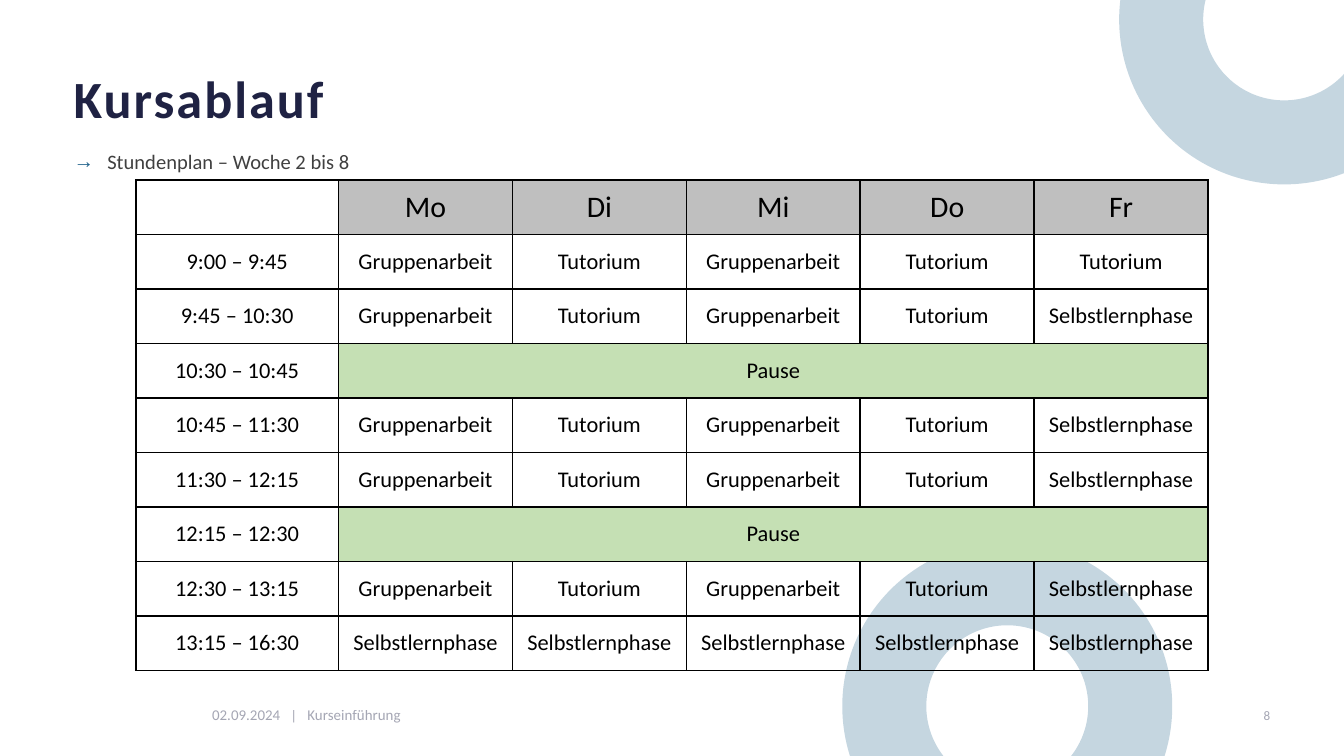
from dataclasses import dataclass

from lxml import etree
from pptx import Presentation
from pptx.dml.color import RGBColor
from pptx.enum.shapes import MSO_SHAPE
from pptx.enum.text import MSO_ANCHOR, PP_ALIGN
from pptx.oxml.ns import qn
from pptx.util import Inches, Pt

CIRCLE = MSO_SHAPE.FLOWCHART_CONNECTOR
LEFT, CENTER, RIGHT = PP_ALIGN.LEFT, PP_ALIGN.CENTER, PP_ALIGN.RIGHT
TOP, MIDDLE = MSO_ANCHOR.TOP, MSO_ANCHOR.MIDDLE
WIDTH = Inches(10)
HEIGHT = WIDTH * 9 // 16


@dataclass(frozen=True)
class Theme:
    font: str = "Calibri"
    bullet_font: str = "Arial"
    title: str = "1F2243"
    body: str = "404040"
    footer: str = "1D2143"
    accent: str = "20628B"
    paper: str = "FFFFFF"
    ink: str = "000000"
    header: str = "BFBFBF"
    pause: str = "C5E0B4"
    title_size: float = 28
    header_size: float = 16
    cell_size: float = 12
    body_size: float = 11
    footer_size: float = 8
    number_size: float = 7
    ring_width: float = 45
    border_width: float = 1


def grid(*values):
    """Convert hundredths of the slide width to lengths."""
    return [int(WIDTH * v / 100) for v in values]


def set_opacity(parent, percent):
    color = parent.find(".//" + qn("a:srgbClr"))
    etree.SubElement(color, qn("a:alpha"), val=str(percent * 1000))


class SlideBuilder:
    def __init__(self, slide, theme):
        self.slide = slide
        self.theme = theme

    def style(self, p, size, color, align=LEFT, bold=False):
        p.alignment = align
        p.font.name = self.theme.font
        p.font.size = Pt(size)
        p.font.bold = bold
        p.font.color.rgb = RGBColor.from_string(color)

    def text(self, box, text, size, color, align=LEFT, anchor=TOP,
             bold=False, line_spacing=1.0, opacity=100, tracking=0):
        tf = self.slide.shapes.add_textbox(*grid(*box)).text_frame
        tf.word_wrap = True
        tf.vertical_anchor = anchor
        p = tf.paragraphs[0]
        p.text = text
        p.line_spacing = line_spacing
        self.style(p, size, color, align, bold)
        font = p._p.pPr.find(qn("a:defRPr"))
        if opacity < 100:
            set_opacity(font, opacity)
        if tracking:
            font.set("spc", str(round(tracking * 100)))
        return p

    def bullet(self, p, char, indent):
        pPr = p._p.pPr
        step = grid(indent)[0]
        pPr.set("marL", str(step))
        pPr.set("indent", str(-step))
        color = etree.Element(qn("a:buClr"))
        etree.SubElement(color, qn("a:srgbClr"), val=self.theme.accent)
        face = etree.Element(qn("a:buFont"), typeface=self.theme.bullet_font)
        mark = etree.Element(qn("a:buChar"), char=char)
        font = pPr.find(qn("a:defRPr"))
        for element in (color, face, mark):
            font.addprevious(element)

    def ring(self, x, y, size):
        sp = self.slide.shapes.add_shape(CIRCLE, *grid(x, y, size, size))
        sp.shadow.inherit = False
        sp.fill.solid()
        sp.fill.fore_color.rgb = RGBColor.from_string(self.theme.paper)
        sp.line.width = Pt(self.theme.ring_width)
        sp.line.color.rgb = RGBColor.from_string(self.theme.accent)
        spPr = sp._element.spPr
        set_opacity(spPr.find(qn("a:solidFill")), 75)
        set_opacity(spPr.find(qn("a:ln")), 25)

    def borders(self, cell):
        tcPr = cell._tc.get_or_add_tcPr()
        for side in ("lnL", "lnR", "lnT", "lnB"):
            ln = etree.SubElement(tcPr, qn("a:" + side),
                                  w=str(Pt(self.theme.border_width)))
            fill = etree.SubElement(ln, qn("a:solidFill"))
            etree.SubElement(fill, qn("a:srgbClr"), val=self.theme.ink)

    def cell(self, cell, text, size, fill=None):
        self.borders(cell)
        cell.vertical_anchor = MIDDLE
        p = cell.text_frame.paragraphs[0]
        if text:
            p.text = text
        self.style(p, size, self.theme.ink, CENTER)
        if fill:
            cell.fill.solid()
            cell.fill.fore_color.rgb = RGBColor.from_string(fill)
        else:
            cell.fill.background()

    def timetable(self, box, first_width, days, lessons):
        t = self.theme
        rows, cols = len(lessons) + 1, len(days) + 1
        table = self.slide.shapes.add_table(rows, cols, *grid(*box)).table
        table.first_row = table.horz_banding = False
        day_width = (box[2] - first_width) / len(days)
        for i, column in enumerate(table.columns):
            column.width = grid(day_width if i else first_width)[0]
        for row in table.rows:
            row.height = grid(box[3] / rows)[0]

        for c, day in enumerate(["", *days]):
            self.cell(table.cell(0, c), day, t.header_size if c else t.cell_size,
                      t.header if c else None)
        for r, (time, entries) in enumerate(lessons, 1):
            self.cell(table.cell(r, 0), time, t.cell_size)
            is_pause = len(entries) == 1
            for c in range(1, cols):
                text = entries[c - 1] if c <= len(entries) else ""
                self.cell(table.cell(r, c), text, t.cell_size,
                          t.pause if is_pause else None)
            if is_pause:
                table.cell(r, 1).merge(table.cell(r, cols - 1))


GROUP, TUTORIAL, SELF = "Gruppenarbeit", "Tutorium", "Selbstlernphase"
PAUSE = ["Pause"]
REGULAR = [GROUP, TUTORIAL, GROUP, TUTORIAL, SELF]
DAYS = ["Mo", "Di", "Mi", "Do", "Fr"]
LESSONS = [
    ("9:00 – 9:45", REGULAR[:4] + [TUTORIAL]),
    ("9:45 – 10:30", REGULAR),
    ("10:30 – 10:45", PAUSE),
    ("10:45 – 11:30", REGULAR),
    ("11:30 – 12:15", REGULAR),
    ("12:15 – 12:30", PAUSE),
    ("12:30 – 13:15", REGULAR),
    ("13:15 – 16:30", [SELF] * len(DAYS)),
]


def main():
    prs = Presentation()
    prs.slide_width, prs.slide_height = WIDTH, HEIGHT
    theme = Theme()
    s = SlideBuilder(prs.slides.add_slide(prs.slide_layouts[6]), theme)

    # Slide number, title and subtitle
    s.text((76.8, 52.3, 18.7, 2.7), "8", theme.number_size, theme.footer,
           align=RIGHT, line_spacing=0.9, opacity=40)
    s.text((4.5, 5, 81.5, 5.5), "Kursablauf", theme.title_size, theme.title,
           bold=True, line_spacing=0.9, tracking=1.1)
    p = s.text((4.5, 9.7, 86.9, 42), "Stundenplan – Woche 2 bis 8",
               theme.body_size, theme.body, line_spacing=1.5)
    s.bullet(p, "→", 2.5)

    # Decorative rings
    for x, y in ((86.4, -7.7), (65.8, 43.4)):
        s.ring(x, y, 18.3)

    # Footer
    s.text((14.8, 51.7, 46.6, 3), "02.09.2024   |   Kurseinführung",
           theme.footer_size, theme.footer, anchor=MIDDLE, opacity=40)

    # Weekly timetable
    s.timetable((10.1, 13.4, 79.8, 36.5), 15.1, DAYS, LESSONS)

    prs.save("out.pptx")


if __name__ == "__main__":
    main()
